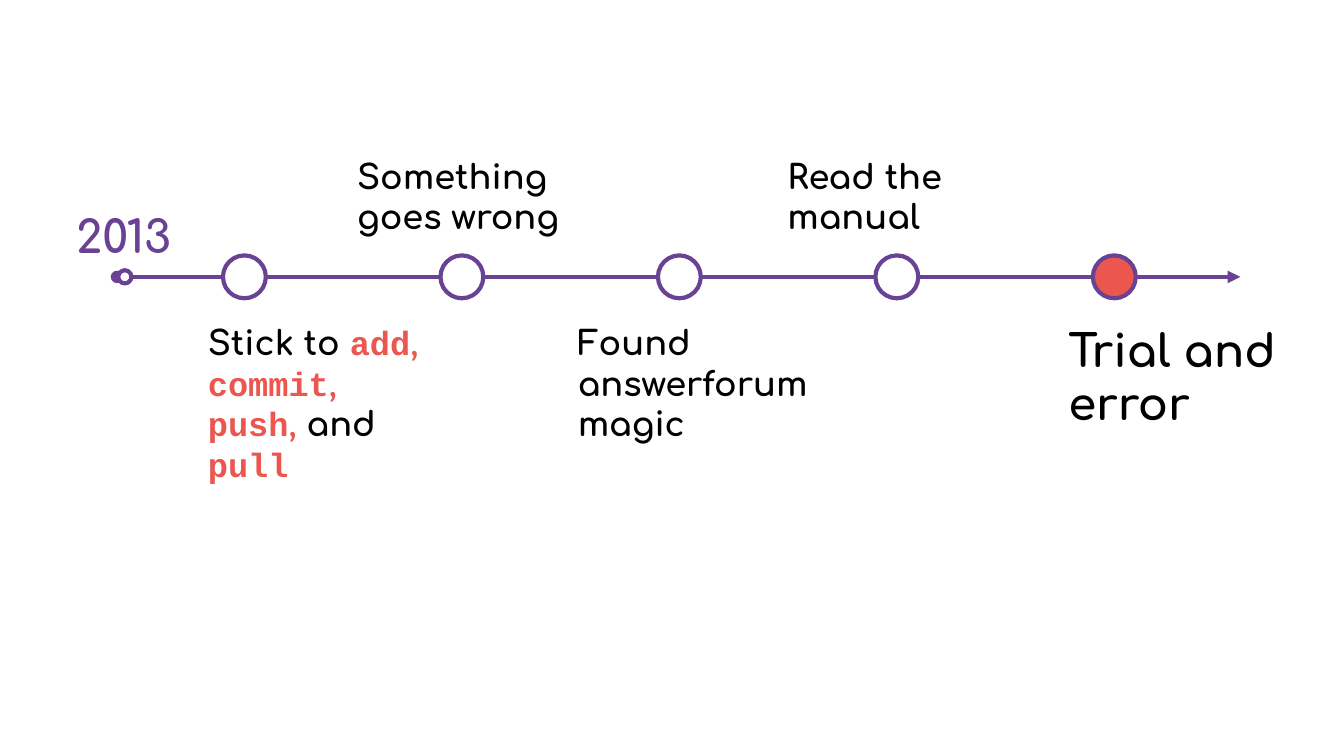
from lxml import etree
from pptx import Presentation
from pptx.dml.color import RGBColor
from pptx.enum.shapes import MSO_CONNECTOR, MSO_SHAPE
from pptx.enum.text import MSO_ANCHOR
from pptx.oxml.ns import qn
from pptx.util import Cm, Pt

PURPLE = RGBColor(0x6A, 0x42, 0x94)
RED = RGBColor(0xEB, 0x57, 0x4F)
BLACK = RGBColor(0, 0, 0)
WHITE = RGBColor(255, 255, 255)
TEXT_FONT = "Comfortaa"
CODE_FONT = "Courier New"
LINE_WIDTH = Pt(2.25)

PLAIN = (TEXT_FONT, BLACK)
CODE = (CODE_FONT, RED)
COMMA = (TEXT_FONT, RED)

# Label left, top, width and height in cm from the timeline box, size, runs
ABOVE, BELOW = 0, 3.15
LABELS = [
    (1.47, BELOW, 4.55, 4.78, 18, [
        ("Stick to ", PLAIN), ("add", CODE), (", ", COMMA), ("commit", CODE),
        (", ", COMMA), ("push", CODE), (", ", COMMA), ("and ", PLAIN),
        ("pull", CODE)]),
    (4.29, ABOVE, 4.85, 2.13, 18, [("Something goes wrong", PLAIN)]),
    (8.46, BELOW, 5.33, 1.57, 18, [("Found answerforum magic", PLAIN)]),
    (12.42, ABOVE, 5, 2.03, 18, [("Read the manual", PLAIN)]),
    (17.73, BELOW, 4.55, 1.57, 24, [("Trial and error", PLAIN)]),
]


def add_label(slide, left, top, width, height, size, runs,
              anchor=MSO_ANCHOR.TOP):
    frame = slide.shapes.add_textbox(left, top, width, height).text_frame
    frame.word_wrap = True
    frame.vertical_anchor = anchor
    frame.margin_left = frame.margin_right = Cm(0.25)
    frame.margin_top = frame.margin_bottom = Cm(0.25)
    paragraph = frame.paragraphs[0]
    paragraph.font.size = Pt(size)
    paragraph.font.bold = True
    for text, (font_name, color) in runs:
        run = paragraph.add_run()
        run.text = text
        run.font.name = font_name
        run.font.color.rgb = color


def add_dot(slide, center_x, center_y, diameter, fill):
    dot = slide.shapes.add_shape(
        MSO_SHAPE.OVAL, center_x - diameter // 2, center_y - diameter // 2,
        diameter, diameter)
    dot.shadow.inherit = False
    dot.fill.solid()
    dot.fill.fore_color.rgb = fill
    dot.line.color.rgb = PURPLE
    dot.line.width = LINE_WIDTH


def add_axis(slide, left, right, y):
    axis = slide.shapes.add_connector(MSO_CONNECTOR.STRAIGHT, left, y, right, y)
    axis.line.color.rgb = PURPLE
    axis.line.width = LINE_WIDTH
    line = axis.line._get_or_add_ln()
    etree.SubElement(line, qn("a:headEnd"), type="oval")
    etree.SubElement(line, qn("a:tailEnd"), type="triangle")
    etree.SubElement(axis._element.spPr, qn("a:effectLst"))


def add_timeline(slide, left, top, width):
    """Draw the axis, its start year and one dot and label per milestone."""
    axis_y = top + Cm(2.54)
    add_axis(slide, left, left + width, axis_y)
    add_dot(slide, left + Cm(0.15), axis_y, Cm(0.25), WHITE)
    add_label(slide, left - Cm(1.02), axis_y - Cm(1.57), Cm(4.24), Cm(1.57),
              24, [("2013", (TEXT_FONT, PURPLE))], MSO_ANCHOR.MIDDLE)

    first_dot, dot_step = Cm(2.41), Cm(4.11)
    for index, (x, y, label_width, label_height, size, runs) in enumerate(LABELS):
        is_last = index == len(LABELS) - 1
        add_dot(slide, left + first_dot + index * dot_step, axis_y, Cm(0.81),
                RED if is_last else WHITE)
        add_label(slide, left + Cm(x), top + Cm(y), Cm(label_width),
                  Cm(label_height), size, runs)


def main():
    presentation = Presentation()
    presentation.slide_width = Cm(25.4)
    presentation.slide_height = Cm(14.28)
    blank_layout = presentation.slide_layouts[6]
    slide = presentation.slides.add_slide(blank_layout)
    add_timeline(slide, Cm(2.21), Cm(2.69), Cm(21.23))
    presentation.save("out.pptx")


if __name__ == "__main__":
    main()
